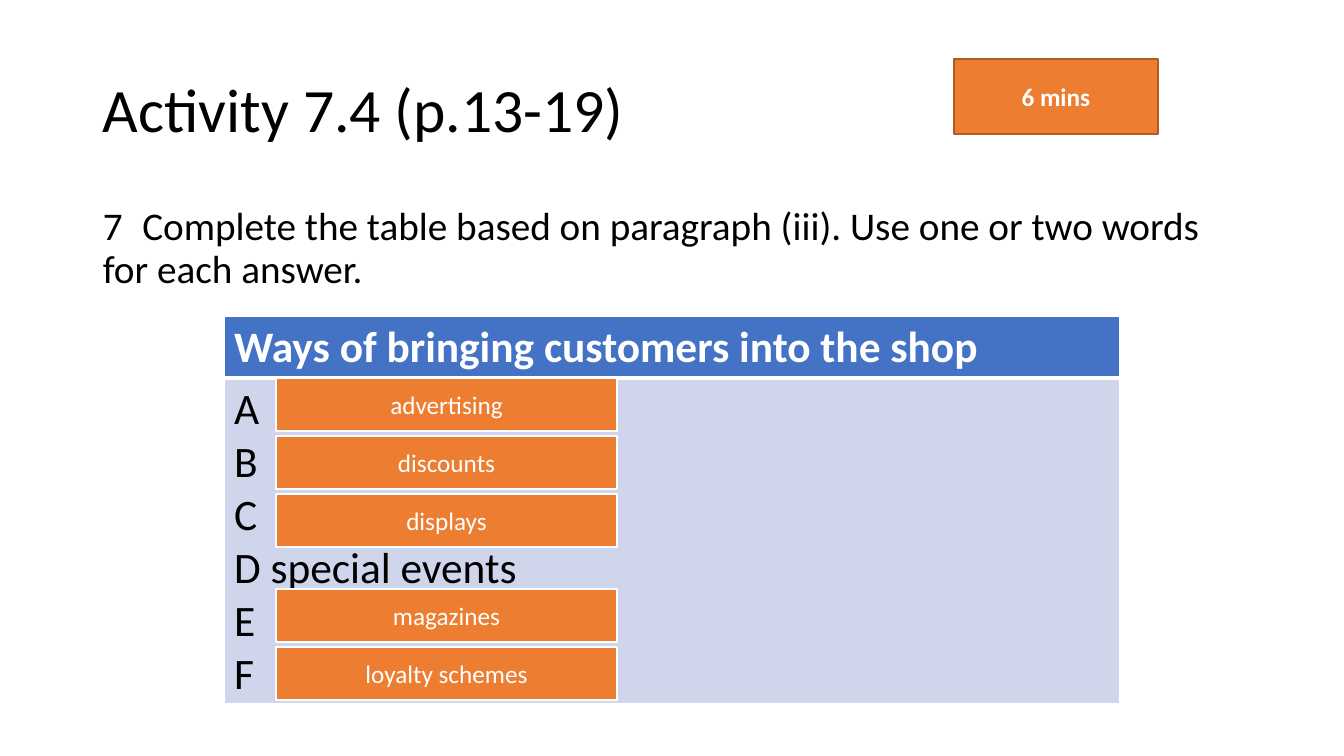
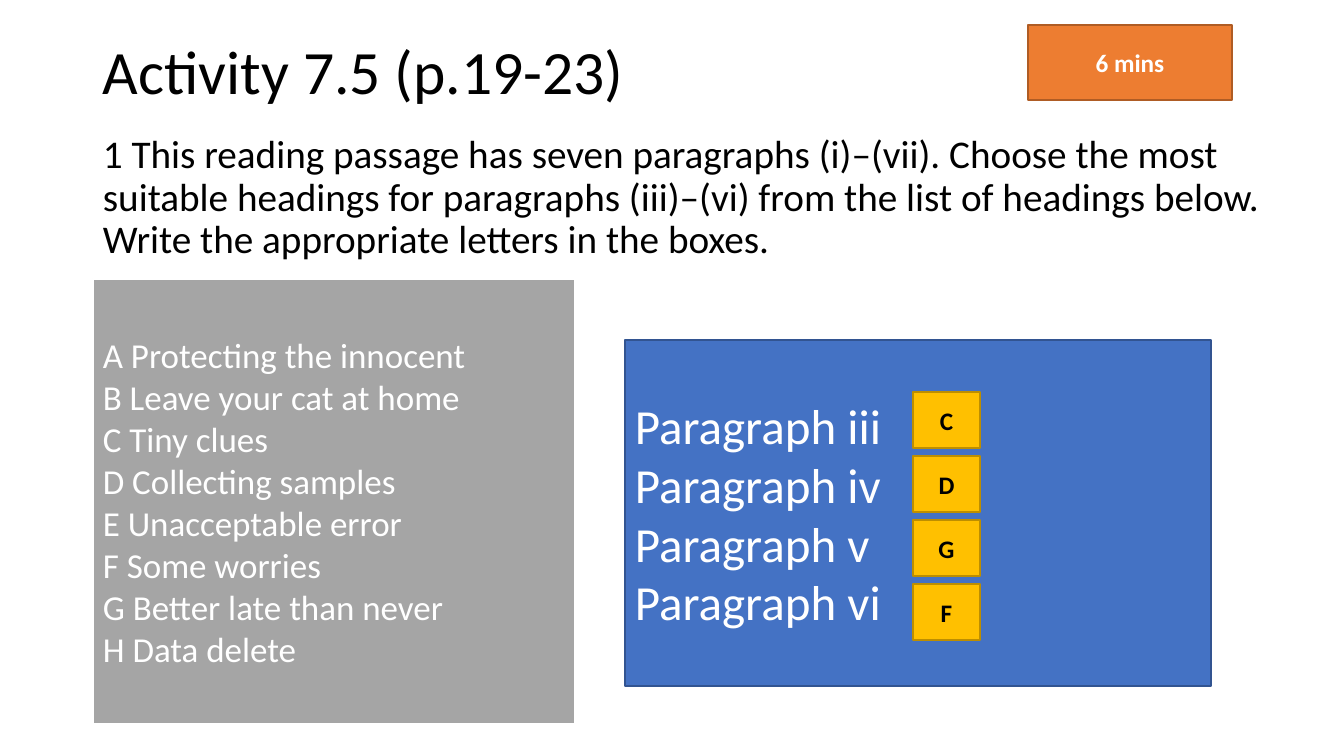
from dataclasses import dataclass
from typing import Optional

from lxml.etree import SubElement
from pptx import Presentation
from pptx.dml.color import RGBColor
from pptx.enum.shapes import MSO_SHAPE
from pptx.enum.text import MSO_ANCHOR, PP_ALIGN
from pptx.oxml.ns import qn
from pptx.slide import Slide
from pptx.table import _Cell
from pptx.text.text import TextFrame
from pptx.util import Emu, Pt

EMU_PER_PIXEL = 914400 / 100.8
FONT = "Calibri"
COLORS = {
    "black": "000000",
    "white": "FFFFFF",
    "orange": "ED7D31",
    "orange_edge": "AF5C24",
    "blue": "4472C4",
    "blue_edge": "325491",
    "pale_blue": "CFD5EA",
    "gray": "A5A5A5",
    "gold": "FFC000",
    "gold_edge": "BD8E00",
}


@dataclass(frozen=True)
class Box:
    """A rectangle in pixels."""
    left: int
    top: int
    width: int
    height: int

    def emu(self) -> tuple[Emu, Emu, Emu, Emu]:
        """Return left, top, width and height in EMU."""
        return px(self.left), px(self.top), px(self.width), px(self.height)


@dataclass(frozen=True)
class TextStyle:
    """How the lines of a text look."""
    size: int
    color: str
    bold: bool = False
    align: PP_ALIGN = PP_ALIGN.LEFT
    line_spacing: Optional[float] = None


@dataclass(frozen=True)
class PanelStyle:
    """How a filled rectangle and its text look."""
    fill: str
    edge: str
    edge_width: float
    text: TextStyle


TITLE = TextStyle(44, "black", line_spacing=0.9)
INSTRUCTION = TextStyle(28, "black", line_spacing=0.9)
TABLE_HEADING = TextStyle(31, "white", bold=True)
TABLE_BODY = TextStyle(31, "black")
TIMER = PanelStyle("orange", "orange_edge", 1,
                   TextStyle(18, "white", True, PP_ALIGN.CENTER))
ANSWER = PanelStyle("orange", "white", 1.5,
                    TextStyle(18, "white", align=PP_ALIGN.CENTER))
LETTER = PanelStyle("gold", "gold_edge", 1,
                    TextStyle(18, "black", True, PP_ALIGN.CENTER))
HEADINGS = PanelStyle("gray", "white", 1.5, TextStyle(25, "white"))
PARAGRAPHS = PanelStyle("blue", "blue_edge", 1, TextStyle(35, "white"))


def px(pixels: int) -> Emu:
    """Turn pixels into EMU."""
    return Emu(round(pixels * EMU_PER_PIXEL))


def rgb(name: str) -> RGBColor:
    """Look up a named colour."""
    return RGBColor.from_string(COLORS[name])


def write_lines(frame: TextFrame, lines: list[str], style: TextStyle) -> None:
    """Write one paragraph per line."""
    frame.word_wrap = True
    for index, line in enumerate(lines):
        paragraph = frame.add_paragraph() if index else frame.paragraphs[0]
        paragraph.alignment = style.align
        if style.line_spacing:
            paragraph.line_spacing = style.line_spacing
        run = paragraph.add_run()
        run.text = line
        run.font.name = FONT
        run.font.size = Pt(style.size)
        run.font.bold = style.bold
        run.font.color.rgb = rgb(style.color)


def add_text(slide: Slide, box: Box, text: str, style: TextStyle,
             anchor: MSO_ANCHOR = MSO_ANCHOR.TOP) -> None:
    """Add a plain text box."""
    frame = slide.shapes.add_textbox(*box.emu()).text_frame
    frame.vertical_anchor = anchor
    write_lines(frame, [text], style)


def add_panel(slide: Slide, box: Box, lines: list[str],
              style: PanelStyle) -> None:
    """Add a filled rectangle with vertically centred lines."""
    panel = slide.shapes.add_shape(MSO_SHAPE.RECTANGLE, *box.emu())
    panel.shadow.inherit = False
    panel.fill.solid()
    panel.fill.fore_color.rgb = rgb(style.fill)
    panel.line.color.rgb = rgb(style.edge)
    panel.line.width = Pt(style.edge_width)
    panel.text_frame.vertical_anchor = MSO_ANCHOR.MIDDLE
    write_lines(panel.text_frame, lines, style.text)


def add_stack(slide: Slide, first: Box, pitch: int, labels: list[str],
              style: PanelStyle) -> None:
    """Add a column of equally spaced one-line panels."""
    for index, label in enumerate(labels):
        box = Box(first.left, first.top + index * pitch,
                  first.width, first.height)
        add_panel(slide, box, [label], style)


def set_borders(cell: _Cell, bottom: int) -> None:
    """Give a cell white borders, 1 pt except where they meet below."""
    properties = cell._tc.get_or_add_tcPr()
    widths = {"a:lnL": 1, "a:lnR": 1, "a:lnT": 1, "a:lnB": bottom}
    for tag, width in widths.items():
        line = SubElement(properties, qn(tag), w=str(Pt(width)))
        fill = SubElement(line, qn("a:solidFill"))
        SubElement(fill, qn("a:srgbClr"), val=COLORS["white"])


def add_ways_table(slide: Slide, box: Box, heading: str,
                   ways: list[str]) -> None:
    """Add a one-column table with a heading row and a row of ways."""
    table = slide.shapes.add_table(2, 1, *box.emu()).table
    heading_height = 62
    table.rows[0].height = px(heading_height)
    table.rows[1].height = px(box.height - heading_height)
    rows = [([heading], TABLE_HEADING, "blue", 3),
            (ways, TABLE_BODY, "pale_blue", 1)]
    for index, (lines, style, fill, bottom) in enumerate(rows):
        cell = table.cell(index, 0)
        set_borders(cell, bottom)
        cell.fill.solid()
        cell.fill.fore_color.rgb = rgb(fill)
        write_lines(cell.text_frame, lines, style)


def add_activity(deck: Presentation, title: str, title_top: int,
                 instruction: str, instruction_box: Box) -> Slide:
    """Add a slide with the shared title and instruction."""
    slide = deck.slides.add_slide(deck.slide_layouts[6])
    add_text(slide, Box(93, title_top, 1159, 146), title, TITLE,
             MSO_ANCHOR.MIDDLE)
    add_text(slide, instruction_box, instruction, INSTRUCTION)
    return slide


def add_timer(slide: Slide, left: int, top: int) -> None:
    """Add the time limit of an activity."""
    add_panel(slide, Box(left, top, 204, 75), ["6 mins"], TIMER)


def build_customers(deck: Presentation) -> None:
    """Build the table completion activity."""
    slide = add_activity(
        deck, "Activity 7.4 (p.13-19)", 40,
        "7\u2002Complete the table based on paragraph (iii). "
        "Use one or two words for each answer.",
        Box(93, 202, 1159, 100))
    add_ways_table(slide, Box(224, 316, 896, 387),
                   "Ways of bringing customers into the shop",
                   ["A", "B", "C", "D special events", "E", "F"])
    answers = {378: ["advertising", "discounts", "displays"],
               589: ["magazines", "loyalty schemes"]}
    for top, labels in answers.items():
        add_stack(slide, Box(276, top, 341, 53), 58, labels, ANSWER)
    add_timer(slide, 954, 59)


def build_headings(deck: Presentation) -> None:
    """Build the heading matching activity."""
    slide = add_activity(
        deck, "Activity 7.5 (p.19-23)", 2,
        "1 This reading passage has seven paragraphs (i)–(vii). Choose the "
        "most suitable headings for paragraphs (iii)–(vi) from the list of "
        "headings below. Write the appropriate letters in the boxes.",
        Box(93, 130, 1214, 140))
    add_panel(slide, Box(93, 279, 482, 445), [
        "A Protecting the innocent",
        "B Leave your cat at home",
        "C Tiny clues",
        "D Collecting samples",
        "E Unacceptable error",
        "F Some worries",
        "G Better late than never",
        "H Data delete",
    ], HEADINGS)
    add_panel(slide, Box(625, 340, 586, 346),
              [f"Paragraph {number}" for number in ("iii", "iv", "v", "vi")],
              PARAGRAPHS)
    add_stack(slide, Box(913, 392, 67, 56), 64, list("CDGF"), LETTER)
    add_timer(slide, 1028, 25)


def main() -> None:
    """Build and save the presentation."""
    deck = Presentation()
    deck.slide_width, deck.slide_height = px(1344), px(756)
    build_customers(deck)
    build_headings(deck)
    deck.save("out.pptx")


main()
